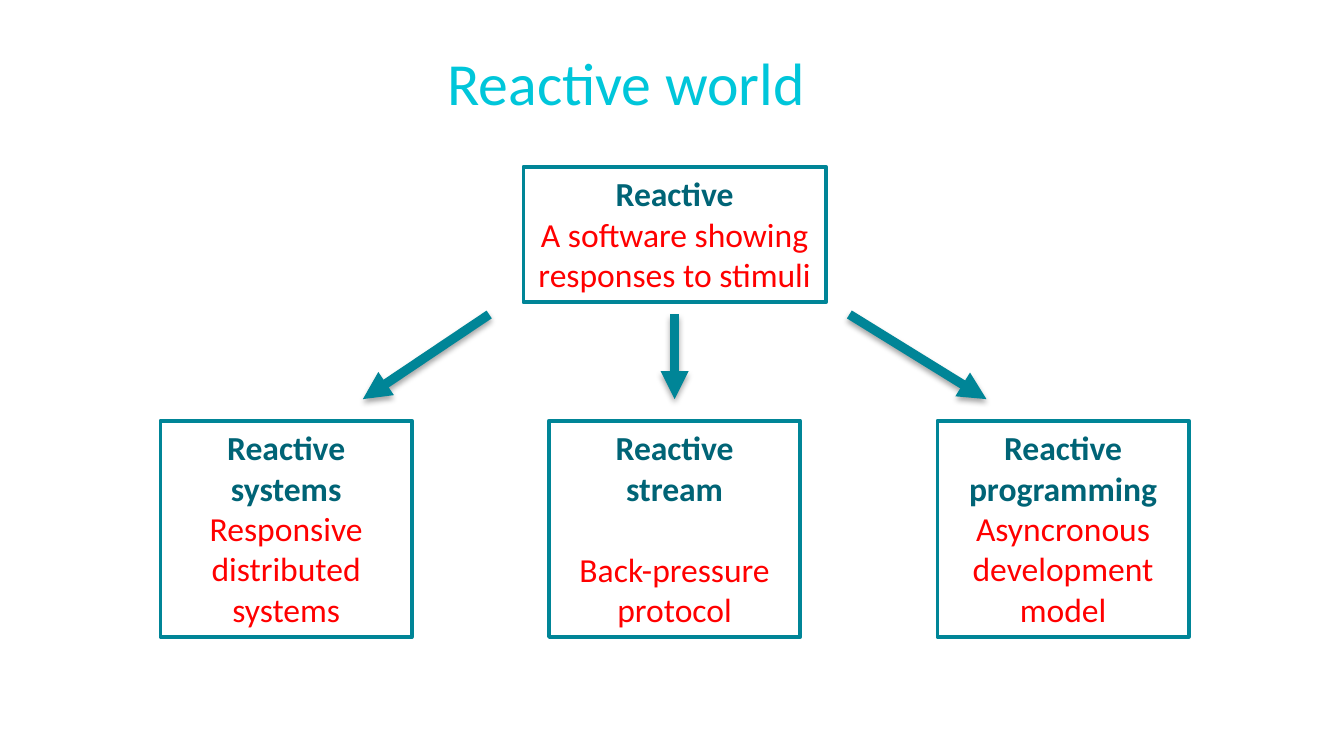
import pptx
import pptx.dml.color
import pptx.enum.shapes
import pptx.enum.text
import pptx.oxml
import pptx.oxml.ns
import pptx.util

WIDTH = 10
HEIGHT = WIDTH * 9 / 16
FONT = "Calibri"
TEAL, DARK_TEAL, CYAN, RED, WHITE = "008597", "006476", "00C6DA", "FF0000", "FFFFFF"
CENTRE = 5.02
COLUMN_STEP = 2.89
BOX_WIDTH = 1.87
BRANCH_TOP, BRANCH_HEIGHT = 3.13, 1.61
ARROW_TOP, ARROW_BOTTOM = 2.34, 2.97
LINE_GAP = 22

BRANCHES = [
    (["Reactive", "systems"], ["Responsive", "distributed", "systems"], 0),
    (["Reactive", "stream"], ["Back-pressure", "protocol"], LINE_GAP),
    (["Reactive", "programming"], ["Asyncronous", "development", "model"], 0),
]
ARROWS = [(3.64, 2.7), (CENTRE, CENTRE), (6.32, 7.34)]


def colour(value):
    return pptx.dml.color.RGBColor.from_string(value)


def inches(*lengths):
    return [pptx.util.Inches(length) for length in lengths]


def style_paragraph(para, text, size, hex_colour, bold=False):
    para.text = text
    para.alignment = pptx.enum.text.PP_ALIGN.CENTER
    para.font.name = FONT
    para.font.size = pptx.util.Pt(size)
    para.font.bold = bold
    para.font.color.rgb = colour(hex_colour)


def add_title(page, text):
    box = page.shapes.add_textbox(*inches(0.35, 0.29, 8.62, 0.55))
    frame = box.text_frame
    frame.word_wrap = True
    frame.margin_top = pptx.util.Inches(0.05)
    style_paragraph(frame.paragraphs[0], text, 32, CYAN)


def add_concept(page, centre, top, width, height, heading, detail, gap=0):
    box = page.shapes.add_shape(
        pptx.enum.shapes.MSO_SHAPE.RECTANGLE,
        *inches(centre - width / 2, top, width, height))
    box.shadow.inherit = False
    box.fill.solid()
    box.fill.fore_color.rgb = colour(WHITE)
    box.line.color.rgb = colour(TEAL)
    box.line.width = pptx.util.Pt(2)
    frame = box.text_frame
    frame.word_wrap = False
    frame.vertical_anchor = pptx.enum.text.MSO_ANCHOR.TOP
    for index, text in enumerate(heading + detail):
        para = frame.add_paragraph() if index else frame.paragraphs[0]
        is_heading = index < len(heading)
        style_paragraph(para, text, 18, DARK_TEAL if is_heading else RED, is_heading)
        if gap and index == len(heading):
            para.space_before = pptx.util.Pt(gap)


def add_arrow(page, start, end):
    arrow = page.shapes.add_connector(
        pptx.enum.shapes.MSO_CONNECTOR.STRAIGHT,
        *inches(start, ARROW_TOP, end, ARROW_BOTTOM))
    arrow.line.color.rgb = colour(TEAL)
    arrow.line.width = pptx.util.Pt(5)
    namespace = pptx.oxml.ns.nsdecls("a")
    arrow.line._get_or_add_ln().append(
        pptx.oxml.parse_xml(f'<a:tailEnd {namespace} type="triangle"/>'))
    arrow._element.spPr.append(pptx.oxml.parse_xml(
        f'<a:effectLst {namespace}>'
        '<a:outerShdw blurRad="40000" dist="23000" dir="5400000" rotWithShape="0">'
        '<a:srgbClr val="000000"><a:alpha val="35000"/></a:srgbClr>'
        '</a:outerShdw></a:effectLst>'))


def main():
    deck = pptx.Presentation()
    deck.slide_width, deck.slide_height = inches(WIDTH, HEIGHT)
    page = deck.slides.add_slide(deck.slide_layouts[6])
    add_title(page, "Reactive world")
    add_concept(page, CENTRE, 1.24, 2.25, 1.01,
                ["Reactive"], ["A software showing", "responses to stimuli"])
    for column, (heading, detail, gap) in enumerate(BRANCHES):
        add_concept(page, CENTRE + (column - 1) * COLUMN_STEP, BRANCH_TOP,
                    BOX_WIDTH, BRANCH_HEIGHT, heading, detail, gap)
    for start, end in ARROWS:
        add_arrow(page, start, end)
    deck.save("out.pptx")


if __name__ == "__main__":
    main()
